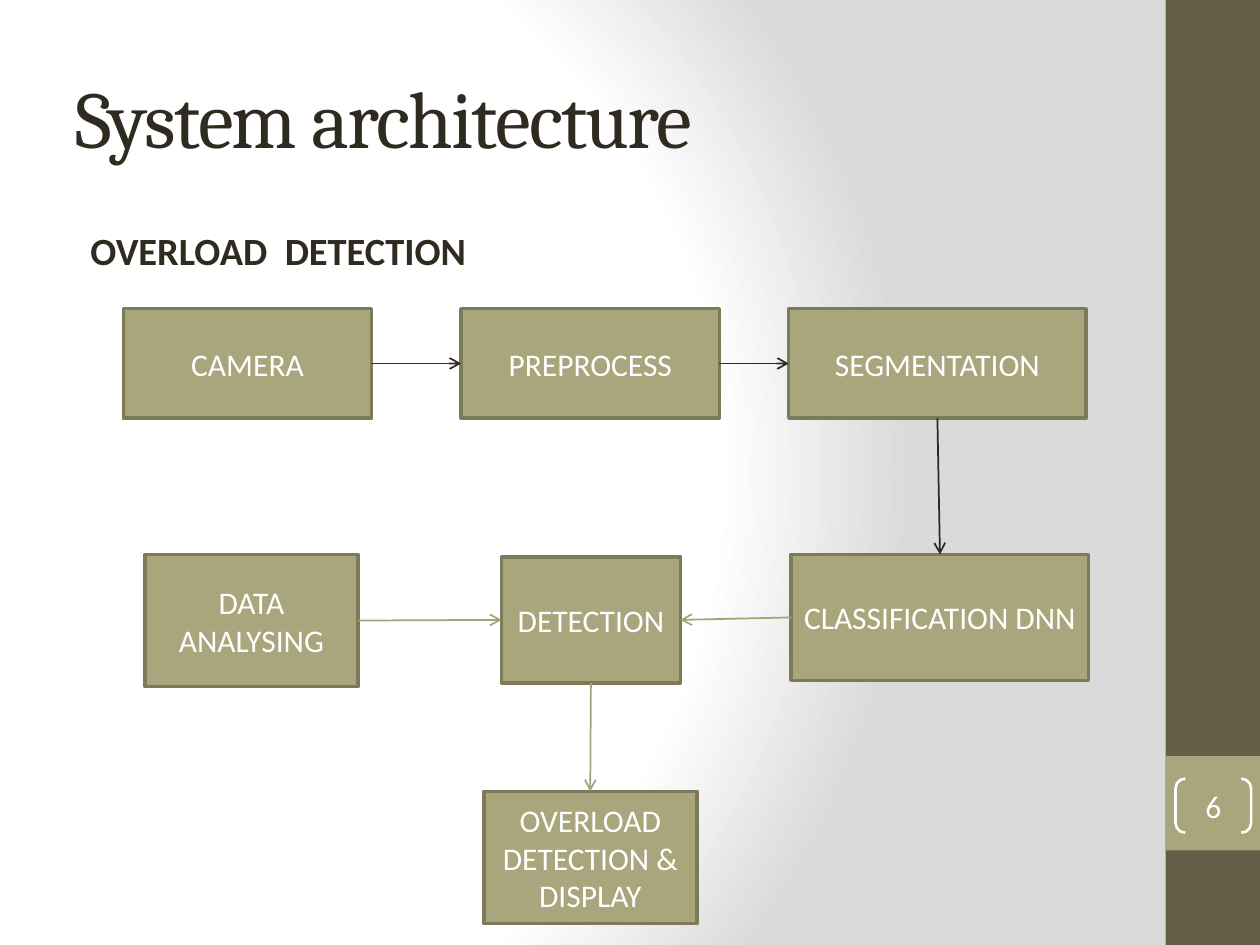
from dataclasses import dataclass

from lxml import etree
from pptx import Presentation, util as u
from pptx.dml.color import RGBColor
from pptx.enum import shapes, text
from pptx.oxml.ns import qn

WHITE = RGBColor(0xFF, 0xFF, 0xFF)
GREY = RGBColor(0xDA, 0xDA, 0xDA)
BROWN = RGBColor(0x67, 0x5E, 0x47)
OLIVE = RGBColor(0xA9, 0xA5, 0x7C)
OLIVE_EDGE = RGBColor(0x7D, 0x7A, 0x5C)
OLIVE_ARROW = RGBColor(0xA6, 0xA2, 0x78)
INK = RGBColor(0x2F, 0x2B, 0x20)
INK_ARROW = RGBColor(0x2E, 0x2A, 0x1F)

TOP, LEFT, BOTTOM, RIGHT = range(4)


@dataclass(frozen=True)
class Step:
    label: str
    left: float
    top: float
    width: float
    height: float


@dataclass(frozen=True)
class Flow:
    start: str
    start_side: int
    end: str
    end_side: int
    color: RGBColor


STEPS = [
    Step("CAMERA", 0.98, 2.45, 1.97, 0.87),
    Step("PREPROCESS", 3.66, 2.45, 2.05, 0.87),
    Step("SEGMENTATION", 6.26, 2.45, 2.36, 0.87),
    Step("CLASSIFICATION DNN", 6.28, 4.4, 2.36, 1),
    Step("DETECTION", 3.98, 4.42, 1.42, 1),
    Step("DATA ANALYSING", 1.15, 4.4, 1.69, 1.05),
    Step("OVERLOAD DETECTION & DISPLAY", 3.84, 6.28, 1.69, 1.05),
]
FLOWS = [
    Flow("CAMERA", RIGHT, "PREPROCESS", LEFT, INK_ARROW),
    Flow("PREPROCESS", RIGHT, "SEGMENTATION", LEFT, INK_ARROW),
    Flow("SEGMENTATION", BOTTOM, "CLASSIFICATION DNN", TOP, INK_ARROW),
    Flow("CLASSIFICATION DNN", LEFT, "DETECTION", RIGHT, OLIVE_ARROW),
    Flow("DATA ANALYSING", RIGHT, "DETECTION", LEFT, OLIVE_ARROW),
    Flow("DETECTION", BOTTOM, "OVERLOAD DETECTION & DISPLAY", TOP, OLIVE_ARROW),
]


def paint_background(page) -> None:
    """Fill the page with a circular gradient, centred left of the middle."""
    page.background.fill.gradient()
    grad = page.element.find(".//" + qn("a:gradFill"))
    for child in list(grad):
        grad.remove(child)
    stops = etree.SubElement(grad, qn("a:gsLst"))
    for percent, color in ((0, WHITE), (75, WHITE), (100, GREY)):
        stop = etree.SubElement(stops, qn("a:gs"), pos=str(percent * 1000))
        etree.SubElement(stop, qn("a:srgbClr"), val=str(color))
    circle = etree.SubElement(grad, qn("a:path"), path="circle")
    etree.SubElement(circle, qn("a:fillToRect"),
                     l="20000", t="50000", r="100000", b="50000")


def write(box, words: str, *, size: float = 18, font: str = "Calibri",
          color: RGBColor = WHITE, bold: bool = False,
          align=text.PP_ALIGN.CENTER, anchor=text.MSO_ANCHOR.MIDDLE,
          side_inset: float = 0.1, edge_inset: float = 0.05,
          indent: float = 0, spacing: float = 0) -> None:
    frame = box.text_frame
    frame.word_wrap = True
    frame.vertical_anchor = anchor
    frame.margin_left = frame.margin_right = u.Inches(side_inset)
    frame.margin_top = frame.margin_bottom = u.Inches(edge_inset)
    para = frame.paragraphs[0]
    para.alignment = align
    span = para.add_run()
    span.text = words
    span.font.size = u.Pt(size)
    span.font.name = font
    span.font.bold = bold
    span.font.color.rgb = color
    if indent:
        para._p.get_or_add_pPr().set("marL", str(u.Inches(indent)))
    if spacing:
        span.font._element.set("spc", str(int(spacing * 100)))


def add_box(page, left: float, top: float, width: float, height: float, *,
            kind=shapes.MSO_SHAPE.RECTANGLE, fill: RGBColor | None = None,
            line: RGBColor | None = None, line_width: float = 2):
    box = page.shapes.add_shape(kind, u.Inches(left), u.Inches(top),
                                u.Inches(width), u.Inches(height))
    box.shadow.inherit = False
    if fill is None:
        box.fill.background()
    else:
        box.fill.solid()
        box.fill.fore_color.rgb = fill
    if line is None:
        box.line.fill.background()
    else:
        box.line.color.rgb = line
        box.line.width = u.Pt(line_width)
    return box


def add_text_box(page, left: float, top: float, width: float, height: float):
    return page.shapes.add_textbox(u.Inches(left), u.Inches(top),
                                   u.Inches(width), u.Inches(height))


def add_step(page, step: Step):
    box = add_box(page, step.left, step.top, step.width, step.height,
                  fill=OLIVE, line=OLIVE_EDGE)
    write(box, step.label, side_inset=0.08)
    return box


def add_flow(page, flow: Flow, boxes: dict) -> None:
    arrow = page.shapes.add_connector(shapes.MSO_CONNECTOR.STRAIGHT, 0, 0, 0, 0)
    arrow.begin_connect(boxes[flow.start], flow.start_side)
    arrow.end_connect(boxes[flow.end], flow.end_side)
    arrow.line.color.rgb = flow.color
    arrow.line.width = u.Pt(1)
    etree.SubElement(arrow.line._get_or_add_ln(), qn("a:tailEnd"), type="arrow")
    etree.SubElement(arrow._element.spPr, qn("a:effectLst"))


def add_sidebar(page) -> None:
    add_box(page, 9.25, 0, 0.75, 7.5, fill=BROWN)
    add_box(page, 9.25, 6, 0.75, 0.75, fill=OLIVE)
    number = add_box(page, 9.33, 6.18, 0.6, 0.43, line=WHITE, line_width=1.5,
                     kind=shapes.MSO_SHAPE.DOUBLE_BRACKET)
    number.adjustments[0] = 0.18
    write(number, "6", side_inset=0, edge_inset=0)


def main() -> None:
    deck = Presentation()
    deck.slide_width, deck.slide_height = u.Inches(10), u.Inches(7.5)
    page = deck.slides.add_slide(deck.slide_layouts[6])
    paint_background(page)
    add_sidebar(page)
    write(add_text_box(page, 0.5, 0.3, 8.33, 1.25), "System architecture",
          size=46, font="Cambria", color=INK, align=text.PP_ALIGN.LEFT,
          spacing=-1)
    write(add_text_box(page, 0.5, 1.75, 8.33, 5.25), "OVERLOAD  DETECTION",
          size=22, color=INK, bold=True, align=text.PP_ALIGN.LEFT,
          anchor=text.MSO_ANCHOR.TOP, indent=0.12)
    boxes = {step.label: add_step(page, step) for step in STEPS}
    for flow in FLOWS:
        add_flow(page, flow, boxes)
    deck.save("out.pptx")


if __name__ == "__main__":
    main()
